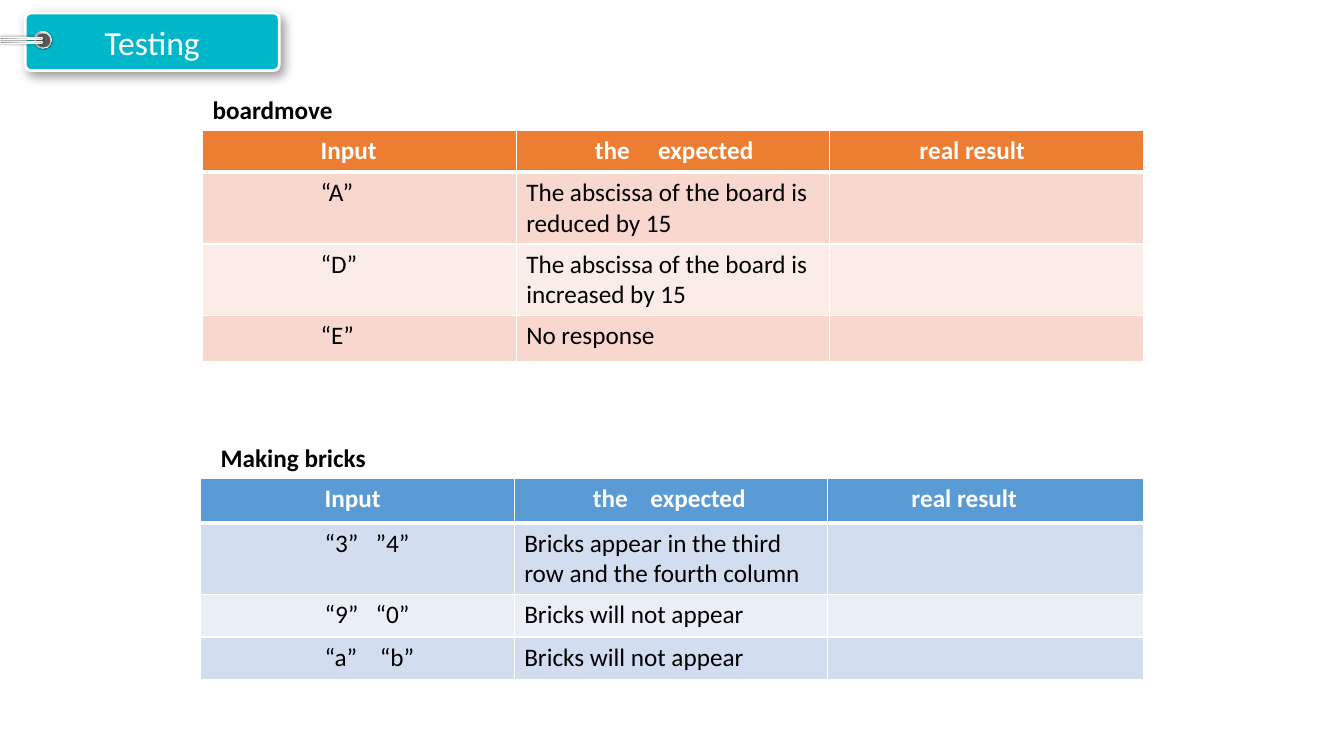
from lxml.etree import SubElement
from pptx import Presentation
from pptx.dml.color import RGBColor
from pptx.enum.shapes import MSO_SHAPE
from pptx.enum.text import MSO_ANCHOR, PP_ALIGN
from pptx.oxml.ns import qn
from pptx.util import Inches, Pt

COLORS = {
    "white": "FFFFFF", "black": "000000", "teal": "00B7CA", "hole": "595959",
    "orange": "ED7D31", "orange_band": "F8D7CE", "orange_light": "FCECE8",
    "blue": "5B9BD5", "blue_band": "D2DEEF", "blue_light": "EAEFF7",
}
FONT = "Calibri"
TITLE = "Testing"

# Gradients: clockwise angle, then (position in percent, colour)
RING_GRADIENT = (45, [(0, "FFFFFF"), (17, "A6A6A6"), (35, "F2F2F2"),
                      (55, "A6A6A6"), (75, "F2F2F2"), (100, "A6A6A6")])
WIRE_GRADIENT = (90, [(0, "808080"), (23, "A6A6A6"), (52, "D9D9D9"),
                      (74, "FFFFFF"), (100, "A6A6A6")])

# Indents hold the left margin of the input column, then of the other headers
TESTS = [
    {
        "label": "boardmove", "label_box": (2.01, 0.89, 1.89, 0.4),
        "left": 2.01, "top": 1.29,
        "columns": [3.11, 3.11, 3.11], "heights": [0.42, 0.7, 0.71, 0.46],
        "indents": [1.17, 0.78, 0.89], "palette": "orange",
        "rows": [
            ("Input", "the     expected", "real result"),
            ("“A”", "The abscissa of the board is reduced by 15", ""),
            ("“D”", "The abscissa of the board is increased by 15", ""),
            ("“E”", "No response", ""),
        ],
    },
    {
        "label": "Making bricks", "label_box": (2.09, 4.34, 2.29, 0.4),
        "left": 1.99, "top": 4.75,
        "columns": [3.11, 3.11, 3.13], "heights": [0.44, 0.7, 0.42, 0.42],
        "indents": [1.23, 0.78, 0.83], "palette": "blue",
        "rows": [
            ("Input", "the    expected", "real result"),
            ("“3”   ”4”", "Bricks appear in the third row and the fourth column", ""),
            ("“9”   “0”", "Bricks will not appear", ""),
            ("“a”    “b”", "Bricks will not appear", ""),
        ],
    },
]


def rgb(name):
    return RGBColor.from_string(COLORS[name])


def style_text(frame, size, color, bold=False):
    for paragraph in frame.paragraphs:
        for run in paragraph.runs:
            run.font.name = FONT
            run.font.size = Pt(size)
            run.font.bold = bold
            run.font.color.rgb = rgb(color)


def add_color(parent, hex_color):
    return SubElement(parent, qn("a:srgbClr"), val=hex_color)


def add_part(slide, preset, box, fill, line_width=0, shadow=None, rotation=0):
    part = slide.shapes.add_shape(preset, *map(Inches, box))
    part.rotation = rotation
    if isinstance(fill, tuple):
        angle, stops = fill
        part.fill.gradient()
        part.fill.gradient_angle = 360 - angle
        stop_list = part._element.spPr.find(".//" + qn("a:gsLst"))
        stop_list.clear()
        for position, color in stops:
            add_color(SubElement(stop_list, qn("a:gs"), pos=str(position * 1000)), color)
    else:
        part.fill.solid()
        part.fill.fore_color.rgb = rgb(fill)
    if line_width:
        part.line.color.rgb = rgb("white")
        part.line.width = Pt(line_width)
    else:
        part.line.fill.background()
    part.shadow.inherit = False
    if shadow:
        blur, distance, angle = shadow
        effects = part._element.spPr.find(qn("a:effectLst"))
        outer = SubElement(effects, qn("a:outerShdw"), blurRad=str(Pt(blur)),
                           dist=str(Pt(distance)), dir=str(angle * 60000),
                           algn="tl", rotWithShape="0")
        SubElement(add_color(outer, COLORS["black"]), qn("a:alpha"), val="40000")
    return part


def set_borders(cell, bottom_width):
    properties = cell._tc.get_or_add_tcPr()
    widths = {"lnL": 1, "lnR": 1, "lnT": 1, "lnB": bottom_width}
    for index, (side, width) in enumerate(widths.items()):
        border = SubElement(properties, qn("a:" + side), w=str(Pt(width)))
        add_color(SubElement(border, qn("a:solidFill")), COLORS["white"])
        properties.insert(index, border)


def add_test(slide, test):
    rows, columns, heights = test["rows"], test["columns"], test["heights"]
    table = slide.shapes.add_table(
        len(rows), len(columns), Inches(test["left"]), Inches(test["top"]),
        Inches(sum(columns)), Inches(sum(heights))).table
    for column, width in zip(table.columns, columns):
        column.width = Inches(width)
    for r, (texts, height) in enumerate(zip(rows, heights)):
        table.rows[r].height = Inches(height)
        header = r == 0
        shade = "" if header else "_band" if r % 2 else "_light"
        for c, text in enumerate(texts):
            cell = table.cell(r, c)
            cell.text_frame.text = text
            style_text(cell.text_frame, 18, "white" if header else "black", header)
            if header or c == 0:
                cell.margin_left = Inches(test["indents"][c])
            cell.fill.solid()
            cell.fill.fore_color.rgb = rgb(test["palette"] + shade)
            set_borders(cell, 3 if header else 1)


def add_label(slide, test):
    label = slide.shapes.add_textbox(*map(Inches, test["label_box"])).text_frame
    label.word_wrap = True
    label.text = test["label"]
    style_text(label, 18, "black", True)


def main():
    prs = Presentation()
    prs.slide_width, prs.slide_height = Inches(13.33), Inches(7.5)
    slide = prs.slides.add_slide(prs.slide_layouts[6])

    # Title tag
    tag = add_part(slide, MSO_SHAPE.ROUNDED_RECTANGLE, (0.25, 0.13, 2.52, 0.57),
                   "teal", 2, (8, 4, 45))
    tag.adjustments[0] = 0.1
    title = tag.text_frame
    title.text = TITLE
    title.vertical_anchor = MSO_ANCHOR.MIDDLE
    title.paragraphs[0].alignment = PP_ALIGN.CENTER
    style_text(title, 24, "white")

    # Ring and the two wires through it
    add_part(slide, MSO_SHAPE.OVAL, (0.34, 0.31, 0.17, 0.17), RING_GRADIENT,
             shadow=(1, 1, 45), rotation=270)
    add_part(slide, MSO_SHAPE.OVAL, (0.36, 0.33, 0.14, 0.14), "hole", rotation=270)
    for top in (0.21, 0.17):
        wire = add_part(slide, MSO_SHAPE.ROUNDED_RECTANGLE, (0.2, top, 0.02, 0.42),
                        WIRE_GRADIENT, 0.75, (2, 0, 0), 270)
        wire.adjustments[0] = 0.5

    # Test tables and their labels
    for test in TESTS:
        add_test(slide, test)
    for test in TESTS:
        add_label(slide, test)

    prs.save("out.pptx")


if __name__ == "__main__":
    main()
